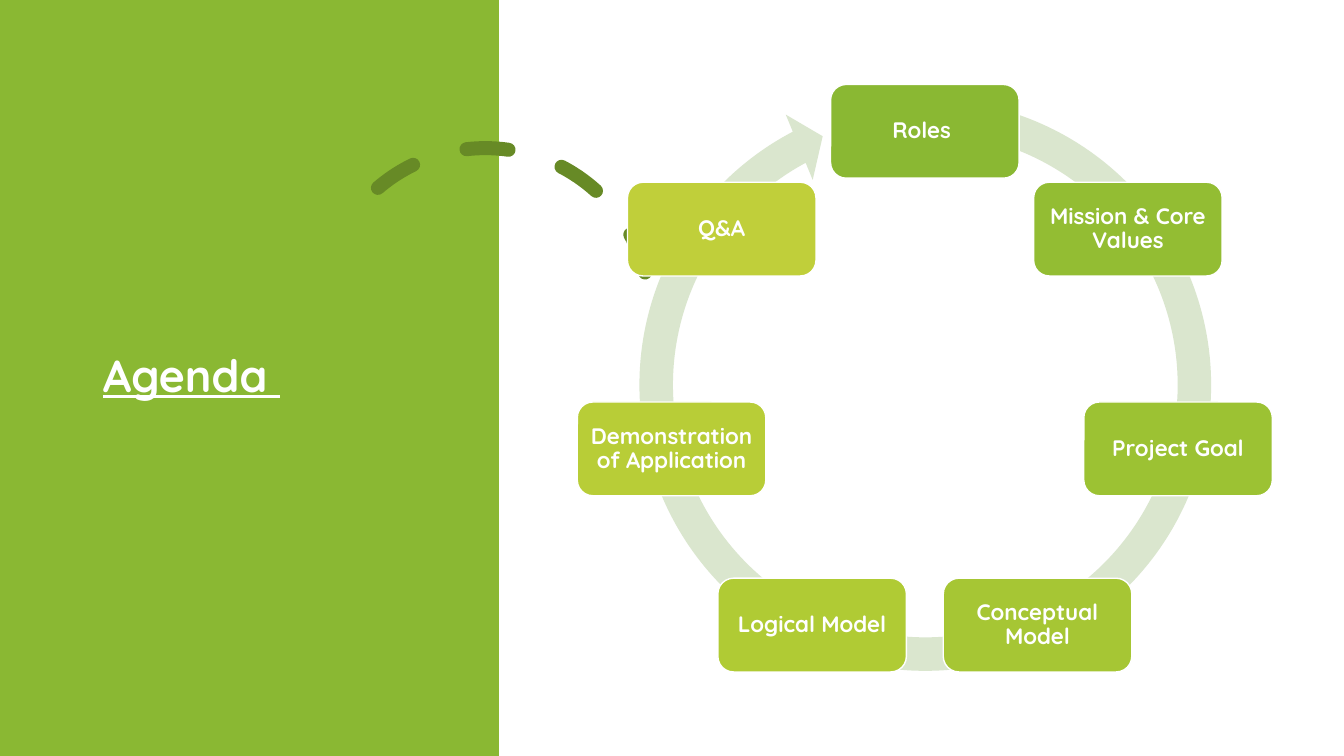
from dataclasses import dataclass
from math import cos, pi, sin

from pptx import Presentation
from pptx.dml.color import RGBColor
from pptx.enum.dml import MSO_LINE
from pptx.enum.shapes import MSO_SHAPE
from pptx.enum.text import MSO_ANCHOR, PP_ALIGN
from pptx.shapes.autoshape import Shape
from pptx.slide import Slide
from pptx.text.text import TextFrame
from pptx.util import Inches, Pt

CELL = Inches(0.1)  # square grid cell
COLS, ROWS = 133.33, 75


@dataclass(frozen=True)
class Theme:
    font: str = "Quicksand"
    title_size: int = 32
    step_size: int = 16
    panel: str = "8AB833"
    arc: str = "678A26"
    ring: str = "DAE6CE"
    white: str = "FFFFFF"


@dataclass(frozen=True)
class Box:
    """A place on the grid, in columns and rows."""
    col: float
    row: float
    cols: float
    rows: float

    def emu(self) -> tuple[int, ...]:
        return tuple(round(n * CELL) for n in (self.col, self.row, self.cols, self.rows))


@dataclass(frozen=True)
class Step:
    label: str
    fill: str


THEME = Theme()
PANEL = Box(0, 0, 49.5, ROWS)
TITLE = Box(9.2, 7, 32.3, 60.9)
ARC = Box(31.8, 14.7, 32.7, 32.7)
RING = Box(61.6, 8, 60.4, 60.4)
CENTER_COL, CENTER_ROW, RADIUS = 91.75, 38.8, 25.77
STEP_COLS, STEP_ROWS = 18.7, 9.3
STEPS = [
    Step("Roles ", "8AB833"),
    Step("Mission & Core Values", "93BD33"),
    Step("Project Goal", "9CC233"),
    Step("Conceptual Model", "A6C634"),
    Step("Logical Model", "B0CB34"),
    Step("Demonstration of Application", "B8CD37"),
    Step("Q&A", "C0CF3A"),
]


def rgb(color: str) -> RGBColor:
    return RGBColor.from_string(color)


def add_shape(slide: Slide, kind: MSO_SHAPE, box: Box, fill: str | None = None,
              line: str | None = None, width: float = 1,
              adjustments: tuple[float, ...] = ()) -> Shape:
    sp = slide.shapes.add_shape(kind, *box.emu())
    sp.shadow.inherit = False
    for i, value in enumerate(adjustments):
        sp.adjustments[i] = value
    if fill:
        sp.fill.solid()
        sp.fill.fore_color.rgb = rgb(fill)
    else:
        sp.fill.background()
    if line:
        sp.line.color.rgb = rgb(line)
        sp.line.width = Pt(width)
    else:
        sp.line.fill.background()
    return sp


def write(tf: TextFrame, text: str, size: int, align: PP_ALIGN, underline: bool = False) -> None:
    tf.word_wrap = True
    tf.vertical_anchor = MSO_ANCHOR.MIDDLE
    p = tf.paragraphs[0]
    p.text = text
    p.alignment = align
    p.line_spacing = 0.9
    p.font.name = THEME.font
    p.font.size = Pt(size)
    p.font.bold = True
    p.font.underline = underline
    p.font.color.rgb = rgb(THEME.white)


def add_step(slide: Slide, step: Step, angle: float) -> None:
    """Centre a step on the circle, clockwise from the top."""
    col = CENTER_COL + RADIUS * sin(angle) - STEP_COLS / 2
    row = CENTER_ROW - RADIUS * cos(angle) - STEP_ROWS / 2
    sp = add_shape(slide, MSO_SHAPE.ROUNDED_RECTANGLE, Box(col, row, STEP_COLS, STEP_ROWS),
                   step.fill, THEME.white)
    tf = sp.text_frame
    tf.margin_left = tf.margin_right = tf.margin_top = tf.margin_bottom = Inches(0.07)
    write(tf, step.label, THEME.step_size, PP_ALIGN.CENTER)


def main() -> None:
    prs = Presentation()
    prs.slide_width, prs.slide_height = round(COLS * CELL), ROWS * CELL
    slide = prs.slides.add_slide(prs.slide_layouts[5])

    # Green panel and dashed arc
    add_shape(slide, MSO_SHAPE.RECTANGLE, PANEL, THEME.panel)
    arc = add_shape(slide, MSO_SHAPE.ARC, ARC, line=THEME.arc, width=10,
                    adjustments=(146.13, 0))
    arc.rotation = 345.8
    arc.line.dash_style = MSO_LINE.DASH
    arc.line._get_or_add_ln().set("cap", "rnd")

    # Title, brought in front of the panel
    title = slide.shapes.title
    title.left, title.top, title.width, title.height = TITLE.emu()
    write(title.text_frame, "Agenda ", THEME.title_size, PP_ALIGN.LEFT, underline=True)
    slide.shapes._spTree.append(title._element)

    # Cycle of steps on its ring
    add_shape(slide, MSO_SHAPE.CIRCULAR_ARROW, RING, THEME.ring,
              adjustments=(0.055, 3.31, 145.24, 169.46, 0.058))
    for i, step in enumerate(STEPS):
        add_step(slide, step, 2 * pi * i / len(STEPS))

    prs.save("out.pptx")


if __name__ == "__main__":
    main()
